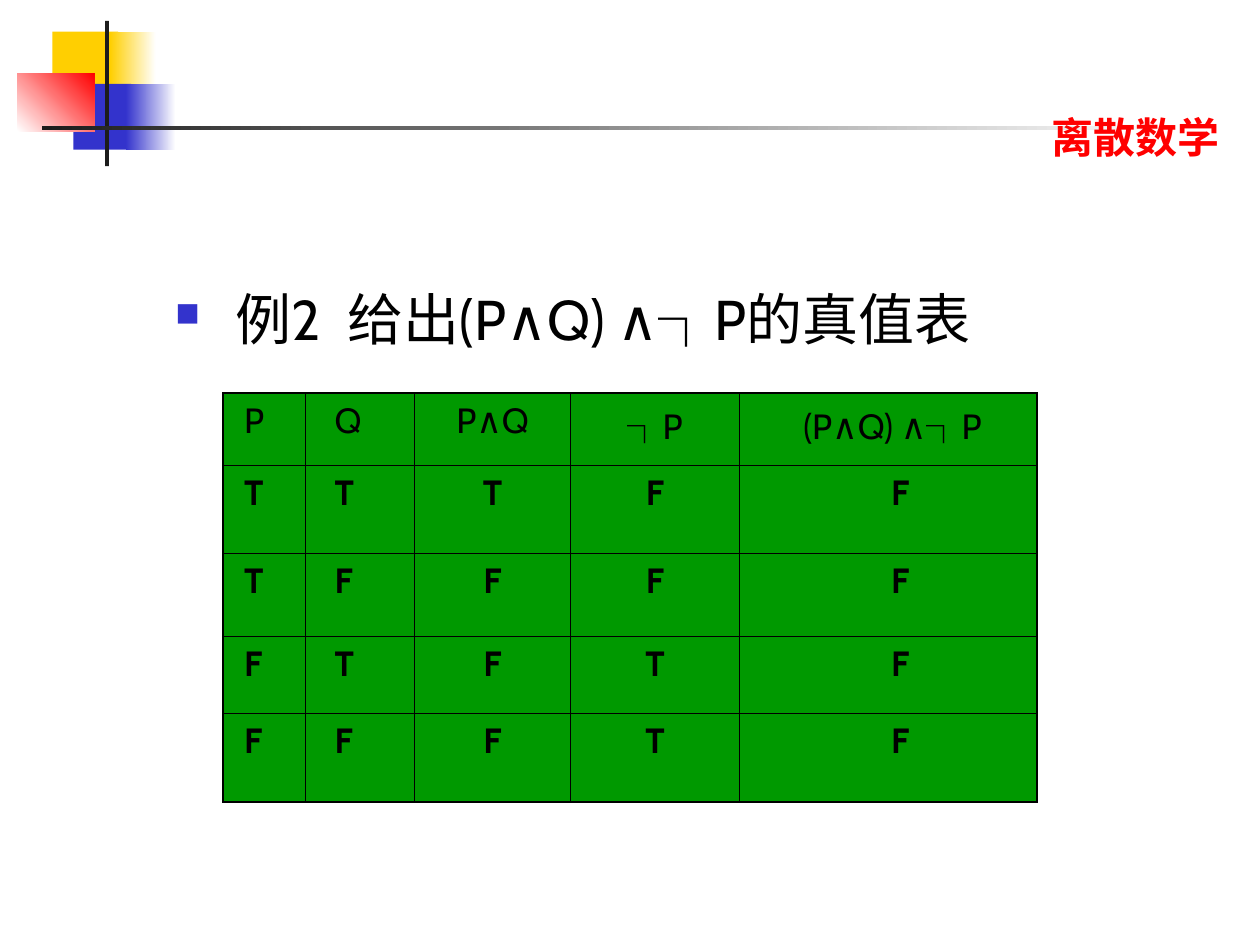
from dataclasses import dataclass

from lxml.etree import SubElement
from pptx import Presentation
from pptx.dml.color import RGBColor
from pptx.enum.shapes import MSO_SHAPE
from pptx.enum.text import PP_ALIGN
from pptx.oxml import parse_xml
from pptx.oxml.ns import nsdecls, qn
from pptx.util import Pt


@dataclass(frozen=True)
class Theme:
    yellow: str = "FFCF01"
    blue: str = "3333CC"
    red: str = "FF0000"
    white: str = "FFFFFF"
    dark: str = "1C1C1C"
    black: str = "000000"
    green: str = "009900"
    font: str = "Cabin"
    symbol_font: str = "Noto Sans CJK SC"
    course_size: int = 24
    body_size: int = 32
    table_size: int = 20
    outer_line: float = 1.08
    inner_line: float = 0.45


THEME = Theme()
NOT = "┐"

# Content
COURSE = "离散数学"
EXAMPLE_LABEL = "例2"
EXAMPLE_TEXT = "给出(P∧Q) ∧┐P的真值表"
HEADER = ["P", "Q", "P∧Q", "┐P", "(P∧Q) ∧┐P"]
TRUTH_ROWS = ["TTTFF", "TFFFF", "FTFTF", "FFFTF"]

# Decoration: left, top, width, height, start colour, end colour, angle
DECORATION = [
    (30, 18, 37.5, 37.5, THEME.yellow, None, 0),
    (63, 18, 26, 37.5, THEME.yellow, THEME.white, 0),
    (42, 48, 33, 37.5, THEME.blue, None, 0),
    (72, 48, 28.5, 37.5, THEME.blue, THEME.white, 0),
    (10, 42, 44, 33, THEME.white, THEME.red, 45),
    (60, 12, 2.25, 83, THEME.dark, None, 0),
    (24, 72, 648, 2.25, THEME.dark, THEME.white, 0),
]

# Table layout
TABLE_LEFT, TABLE_TOP = 127.5, 224.5
COLUMN_WIDTHS = [47.2, 62.2, 89.2, 96.6, 169.9]
ROW_HEIGHTS = [41.5, 50.4, 47.4, 44, 50.4]
LEFT_MARGINS = [12, 16.5, 7.2, 7.2, 21]
HEADER_LAST_MARGIN = 12


def color(value):
    return RGBColor.from_string(value)


def add_run(paragraph, text, *, size, font=THEME.font, fill=THEME.black,
            bold=False, spacing=0):
    run = paragraph.add_run()
    run.text = text
    run.font.size = Pt(size)
    run.font.bold = bold
    run.font.color.rgb = color(fill)
    run.font.name = font
    properties = run._r.get_or_add_rPr()
    SubElement(properties, qn("a:ea")).set("typeface", font)
    if spacing:
        properties.set("spc", str(spacing * 100))


def add_text(paragraph, text, *, symbol_bold=False, **style):
    """Write text, giving each negation sign its own font."""
    for index, part in enumerate(text.split(NOT)):
        if index:
            add_run(paragraph, NOT, **{**style, "font": THEME.symbol_font,
                                       "bold": symbol_bold})
        if part:
            add_run(paragraph, part, **style)


def add_block(slide, left, top, width, height, start, end, angle):
    shape = slide.shapes.add_shape(
        MSO_SHAPE.RECTANGLE, Pt(left), Pt(top), Pt(width), Pt(height))
    shape.shadow.inherit = False
    shape.line.fill.background()
    if end is None:
        shape.fill.solid()
        shape.fill.fore_color.rgb = color(start)
    else:
        shape.fill.gradient()
        shape.fill.gradient_angle = angle
        for stop, value in zip(shape.fill.gradient_stops, (start, end)):
            stop.color.rgb = color(value)


def add_box(slide, left, top, width, height):
    box = slide.shapes.add_textbox(Pt(left), Pt(top), Pt(width), Pt(height))
    box.text_frame.word_wrap = True
    return box.text_frame.paragraphs[0]


def add_bullet(paragraph, indent, hanging):
    properties = paragraph._p.get_or_add_pPr()
    properties.set("marL", str(Pt(indent)))
    properties.set("indent", str(-Pt(hanging)))
    for xml in (
        f'<a:buClr {nsdecls("a")}><a:srgbClr val="{THEME.blue}"/></a:buClr>',
        f'<a:buSzPct {nsdecls("a")} val="60000"/>',
        f'<a:buChar {nsdecls("a")} char="■"/>',
    ):
        properties.append(parse_xml(xml))


def set_borders(cell, widths):
    properties = cell._tc.get_or_add_tcPr()
    for index, (side, width) in enumerate(zip("LRTB", widths)):
        properties.insert(index, parse_xml(
            f'<a:ln{side} {nsdecls("a")} w="{Pt(width)}"><a:solidFill>'
            f'<a:srgbClr val="{THEME.black}"/></a:solidFill></a:ln{side}>'))


def add_truth_table(slide):
    rows = [HEADER, *TRUTH_ROWS]
    last_row, last_column = len(rows) - 1, len(HEADER) - 1
    table = slide.shapes.add_table(
        len(rows), len(HEADER), Pt(TABLE_LEFT), Pt(TABLE_TOP),
        Pt(sum(COLUMN_WIDTHS)), Pt(sum(ROW_HEIGHTS))).table
    table.first_row = table.horz_banding = False
    for column, width in zip(table.columns, COLUMN_WIDTHS):
        column.width = Pt(width)
    for row, height in zip(table.rows, ROW_HEIGHTS):
        row.height = Pt(height)

    for r, values in enumerate(rows):
        for c, value in enumerate(values):
            cell = table.cell(r, c)
            cell.fill.solid()
            cell.fill.fore_color.rgb = color(THEME.green)
            header_end = r == 0 and c == last_column
            cell.margin_left = Pt(
                HEADER_LAST_MARGIN if header_end else LEFT_MARGINS[c])
            edges = (c == 0, c == last_column, r == 0, r == last_row)
            set_borders(cell, [THEME.outer_line if edge else THEME.inner_line
                               for edge in edges])
            paragraph = cell.text_frame.paragraphs[0]
            paragraph.alignment = PP_ALIGN.LEFT if c < 2 else PP_ALIGN.CENTER
            add_text(paragraph, value, size=THEME.table_size, bold=r > 0,
                     symbol_bold=True)


def main():
    presentation = Presentation()
    presentation.slide_width, presentation.slide_height = Pt(720), Pt(540)
    slide = presentation.slides.add_slide(presentation.slide_layouts[6])

    # Corner blocks and rules
    for block in DECORATION:
        add_block(slide, *block)

    # Course name
    add_text(add_box(slide, 594, 60, 126, 36), COURSE,
             size=THEME.course_size, fill=THEME.red, bold=True)

    # Example statement, with a wider gap after its label
    statement = add_box(slide, 93, 159, 612, 60)
    add_bullet(statement, 34.5, 34.5)
    add_text(statement, EXAMPLE_LABEL, size=THEME.body_size)
    add_text(statement, " ", size=THEME.body_size, spacing=8)
    add_text(statement, EXAMPLE_TEXT, size=THEME.body_size)

    # Truth table
    add_truth_table(slide)
    presentation.save("out.pptx")


if __name__ == "__main__":
    main()
